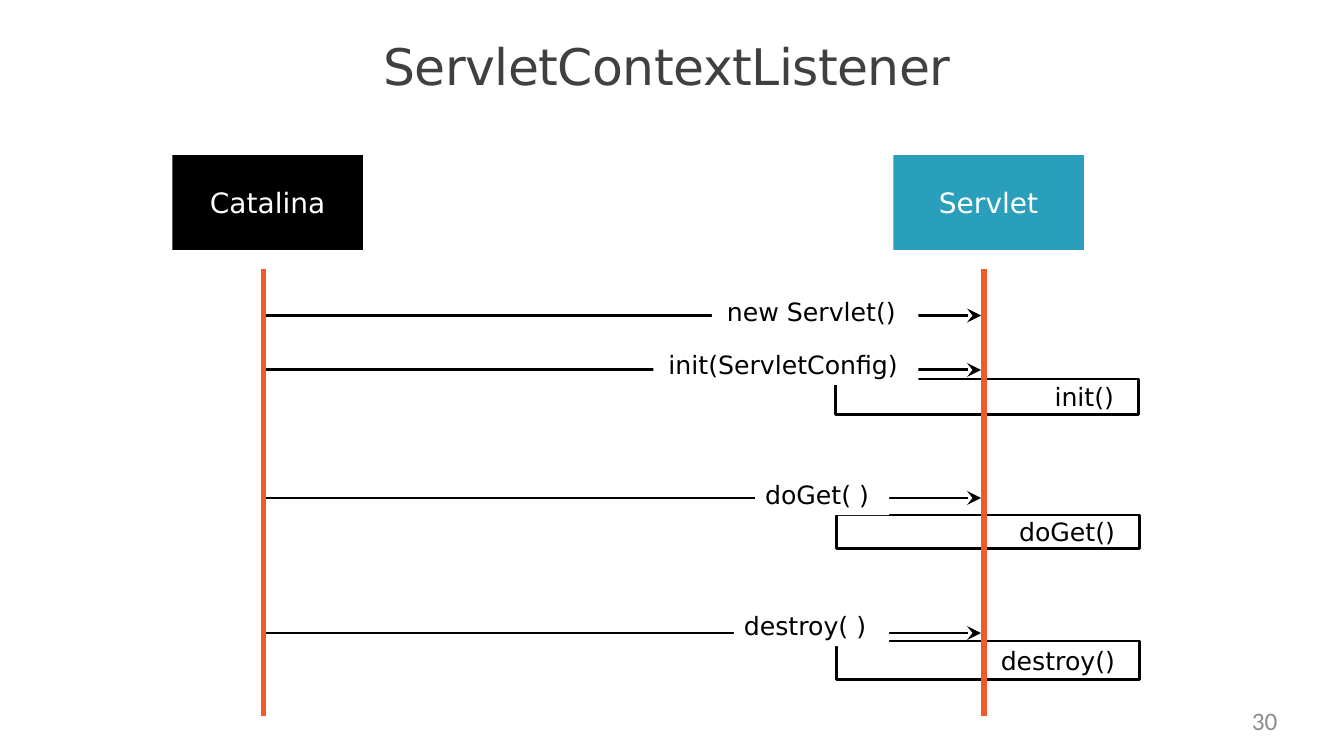
import pptx
import pptx.util
import pptx.dml.color
import pptx.enum.shapes
import pptx.enum.text
import pptx.oxml.ns
import lxml.etree

Inches = pptx.util.Inches
RGBColor = pptx.dml.color.RGBColor
ALIGN = pptx.enum.text.PP_ALIGN
MIDDLE = pptx.enum.text.MSO_ANCHOR.MIDDLE

BLACK = RGBColor(0, 0, 0)
WHITE = RGBColor(255, 255, 255)
TEAL = RGBColor(0x2A, 0x9F, 0xBC)
ORANGE = RGBColor(0xF0, 0x5A, 0x28)
TITLE_GREY = RGBColor(0x40, 0x40, 0x40)
NUMBER_GREY = RGBColor(0x8C, 0x8C, 0x8C)

HEADS = [("Catalina", 1.71, BLACK), ("Servlet", 8.86, TEAL)]
LIFELINES = [2.61, 9.76]
LIFELINE_TOP, LIFELINE_BOTTOM = 2.67, 7.1
ARROW_START, ARROW_END = 2.63, 9.73
MESSAGES = [
    ("new Servlet()", 3.13, (7.06, 2.89, 2.05, 0.4), 0.15),
    ("init(ServletConfig)", 3.67, (6.48, 3.42, 2.63, 0.4), 0.15),
    ("doGet( )", 4.94, (7.49, 4.7, 1.33, 0.41), 0.1),
    ("destroy( )", 6.28, (7.28, 6, 1.54, 0.41), 0.1),
]
SELF_CALLS = [
    ("init()", (8.29, 3.76, 3, 0.35)),
    ("doGet()", (8.3, 5.11, 3, 0.33)),
    ("destroy()", (8.3, 6.36, 3, 0.38)),
]


def write(shape, text, size=18, color=BLACK, font="DejaVu Sans",
          align=ALIGN.CENTER, left=0, right=0, spacing=0, wrap=True):
    frame = shape.text_frame
    frame.word_wrap = wrap
    frame.vertical_anchor = MIDDLE
    frame.margin_left, frame.margin_right = Inches(left), Inches(right)
    frame.margin_top = frame.margin_bottom = 0
    para = frame.paragraphs[0]
    para.alignment = align
    span = para.add_run()
    span.text = text
    span.font.size = pptx.util.Pt(size)
    span.font.name = font
    span.font.color.rgb = color
    if spacing:
        span._r.get_or_add_rPr().set("spc", str(spacing))


def add_box(page, place, fill=None, line=None):
    box = page.shapes.add_shape(
        pptx.enum.shapes.MSO_SHAPE.RECTANGLE, *map(Inches, place))
    box.shadow.inherit = False
    if fill is None:
        box.fill.background()
    else:
        box.fill.solid()
        box.fill.fore_color.rgb = fill
    if line is None:
        box.line.fill.background()
    else:
        box.line.color.rgb = line
        box.line.width = pptx.util.Pt(2)
    return box


def add_line(page, start, end, color, width, arrow=False):
    line = page.shapes.add_connector(
        pptx.enum.shapes.MSO_CONNECTOR.STRAIGHT, *map(Inches, start + end))
    line.line.color.rgb = color
    line.line.width = pptx.util.Pt(width)
    properties = line._element.spPr
    if arrow:
        lxml.etree.SubElement(
            properties.find(pptx.oxml.ns.qn("a:ln")), pptx.oxml.ns.qn("a:tailEnd"),
            type="stealth", w="lg", len="lg")
    lxml.etree.SubElement(properties, pptx.oxml.ns.qn("a:effectLst"))


def add_title(page, text):
    title = page.shapes.title
    title.left, title.top = Inches(3.79), Inches(0.32)
    title.width, title.height = Inches(5.65), Inches(0.66)
    write(title, text, size=36, color=TITLE_GREY, spacing=-40, wrap=False)


def add_page_number(page, text):
    box = page.shapes.add_textbox(*map(Inches, (9.6, 6.97, 3.07, 0.35)))
    write(box, text, color=NUMBER_GREY, font="Calibri", align=ALIGN.RIGHT)


def main():
    deck = pptx.Presentation()
    deck.slide_width, deck.slide_height = Inches(13.33), Inches(7.5)
    page = deck.slides.add_slide(deck.slide_layouts[5])
    add_title(page, "ServletContextListener")

    for name, left, fill in HEADS:
        write(add_box(page, (left, 1.54, 1.89, 0.94), fill=fill),
              name, size=20, color=WHITE)
    for call, place in SELF_CALLS:
        write(add_box(page, place, line=BLACK), call,
              align=ALIGN.RIGHT, right=0.24)
    for message, height, place, inset in MESSAGES:
        add_line(page, (ARROW_START, height), (ARROW_END, height),
                 BLACK, 2, arrow=True)
        write(add_box(page, place, fill=WHITE), message,
              align=ALIGN.LEFT, left=inset)
    for across in LIFELINES:
        add_line(page, (across, LIFELINE_TOP), (across, LIFELINE_BOTTOM),
                 ORANGE, 3.75)

    add_page_number(page, "30")
    deck.save("out.pptx")


if __name__ == "__main__":
    main()
